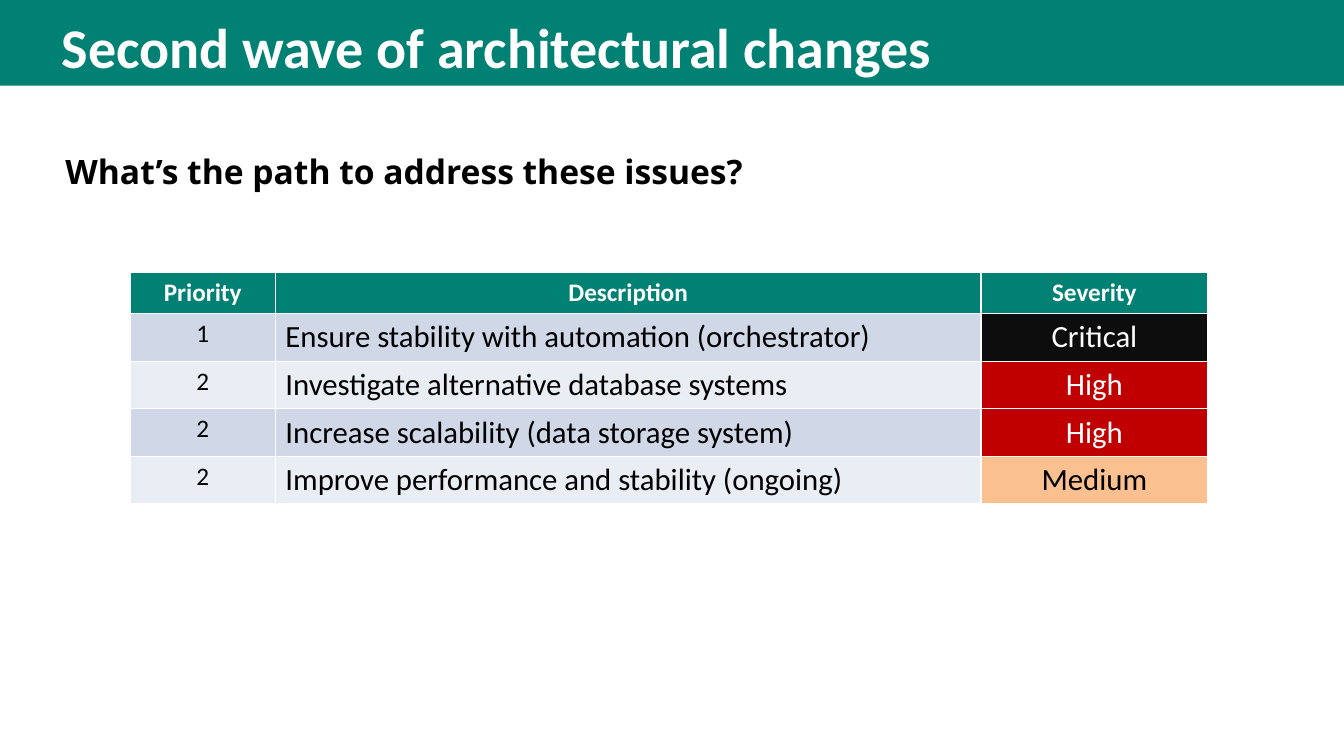
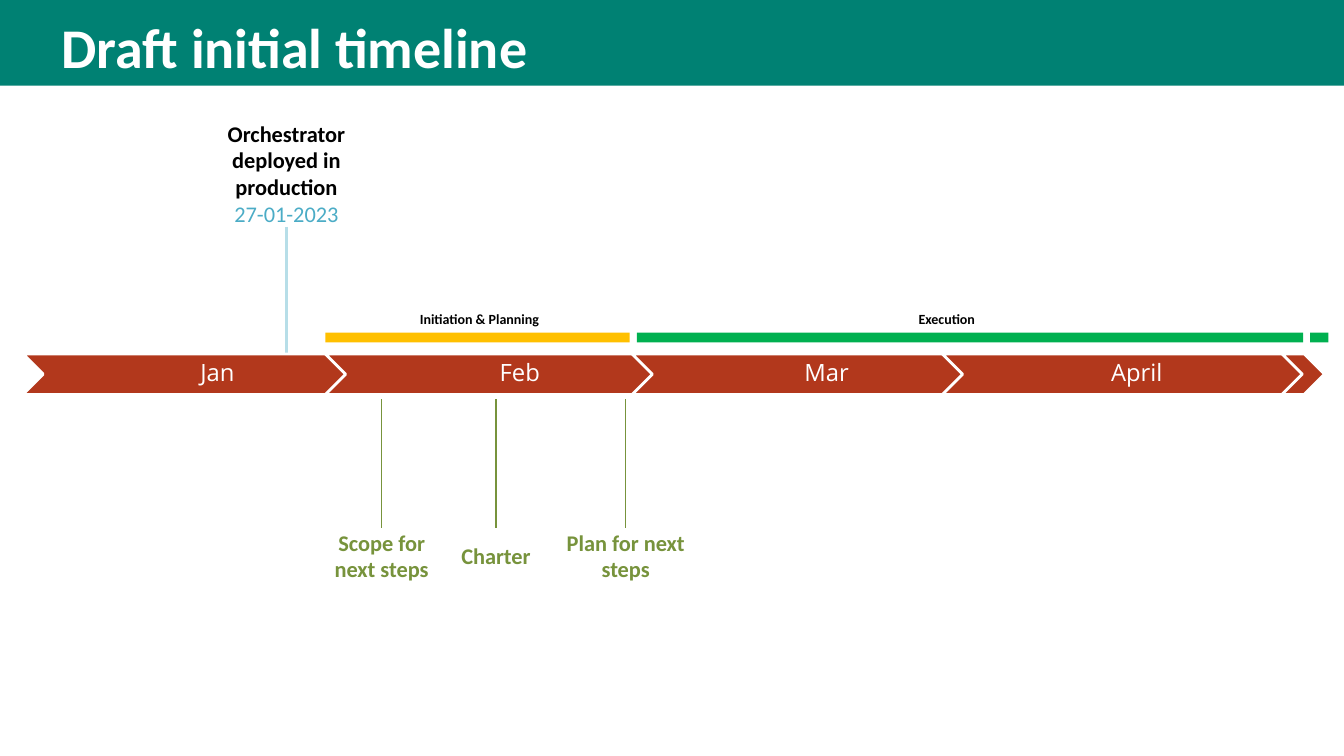
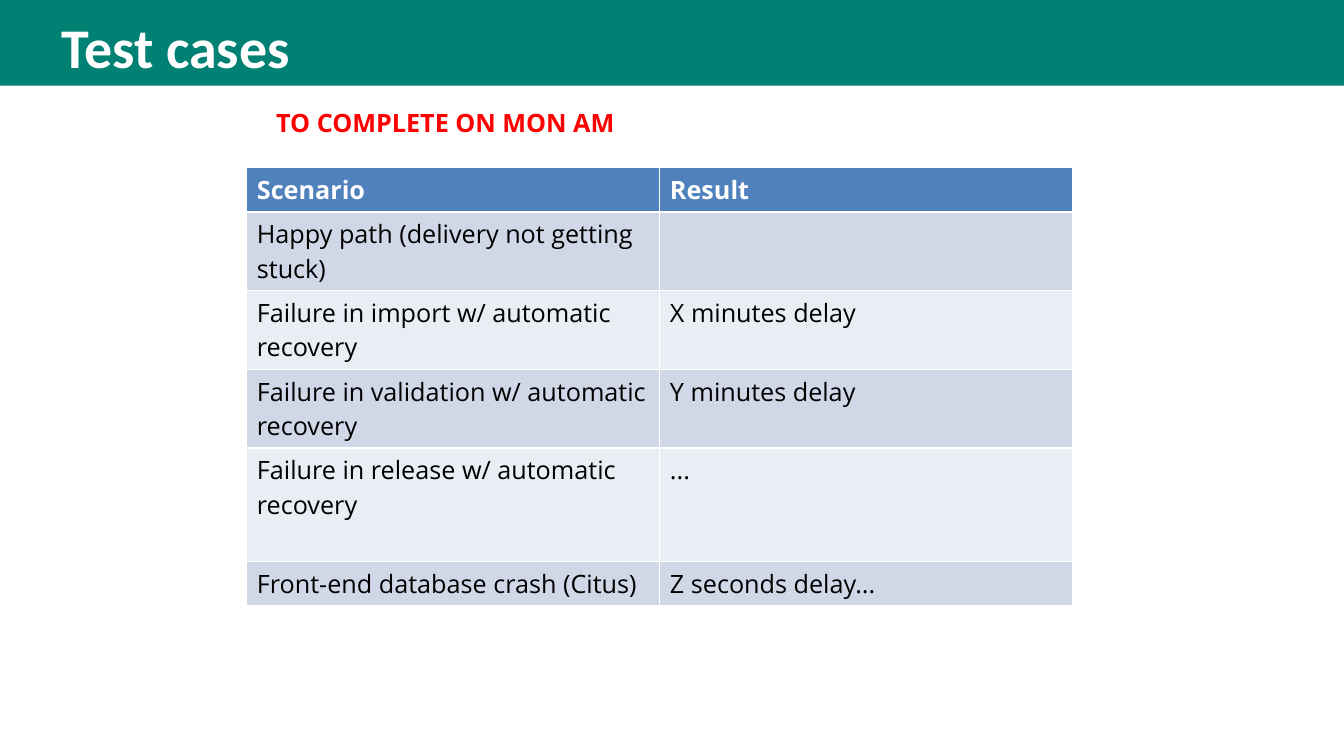
from lxml import etree
from pptx import Presentation
from pptx.dml.color import RGBColor
from pptx.enum.shapes import MSO_CONNECTOR, MSO_SHAPE
from pptx.enum.text import MSO_ANCHOR, PP_ALIGN
from pptx.oxml.ns import qn
from pptx.util import Cm, Pt

RECTANGLE, CHEVRON = MSO_SHAPE.RECTANGLE, MSO_SHAPE.CHEVRON
STRAIGHT = MSO_CONNECTOR.STRAIGHT
TOP, MIDDLE = MSO_ANCHOR.TOP, MSO_ANCHOR.MIDDLE
LEFT, CENTER = PP_ALIGN.LEFT, PP_ALIGN.CENTER

WHITE = RGBColor(0xFF, 0xFF, 0xFF)
BLACK = RGBColor(0x00, 0x00, 0x00)
TEAL = RGBColor(0x00, 0x81, 0x73)
BLUE = RGBColor(0x4F, 0x81, 0xBD)
ROW_DARK = RGBColor(0xD0, 0xD8, 0xE8)
ROW_LIGHT = RGBColor(0xE9, 0xED, 0xF4)
NEAR_BLACK = RGBColor(0x0D, 0x0D, 0x0D)
DARK_RED = RGBColor(0xC0, 0x00, 0x00)
PEACH = RGBColor(0xFA, 0xC0, 0x90)
RED = RGBColor(0xFF, 0x00, 0x00)
OLIVE = RGBColor(0x77, 0x93, 0x3C)
PALE_AQUA = RGBColor(0xB7, 0xDE, 0xE8)
AQUA = RGBColor(0x4B, 0xAC, 0xC6)
RUST = RGBColor(0xB2, 0x38, 0x1C)
AMBER = RGBColor(0xFF, 0xC0, 0x00)
GREEN = RGBColor(0x00, 0xB0, 0x50)

CALIBRI, OPEN_SANS = "Calibri", "Open Sans"
SLIDE_WIDTH, SLIDE_HEIGHT = 33.87, 19.05


def style(size, color=BLACK, bold=False, name=CALIBRI):
    return {"size": Pt(size), "color": color, "bold": bold, "name": name}


class Deck:
    """Holds the shared style and the slide being built; lengths are in cm."""

    TITLE = style(40, WHITE, True)

    def __init__(self):
        self.prs = Presentation()
        self.prs.slide_width = Cm(SLIDE_WIDTH)
        self.prs.slide_height = Cm(SLIDE_HEIGHT)
        self.slide = None

    def new_slide(self, title):
        self.slide = self.prs.slides.add_slide(self.prs.slide_layouts[5])
        heading = self.slide.shapes.title
        band = self.shape(RECTANGLE, 0, 0, SLIDE_WIDTH, 2.16, TEAL)
        heading._element.addprevious(band._element)
        heading.left, heading.top = Cm(1.3), Cm(0.18)
        heading.width, heading.height = Cm(31.24), Cm(1.88)
        heading.text_frame.vertical_anchor = TOP
        self.fill_text(heading.text_frame, [(title, self.TITLE)], LEFT)

    def fill_text(self, frame, lines, align):
        """Fill a frame with one paragraph for each (text, style) pair."""
        for number, (text, look) in enumerate(lines):
            paragraph = frame.add_paragraph() if number else frame.paragraphs[0]
            paragraph.alignment = align
            run = paragraph.add_run()
            run.text = text
            for key, value in look.items():
                if key == "color":
                    run.font.color.rgb = value
                else:
                    setattr(run.font, key, value)

    def shape(self, kind, x, y, width, height, fill, outline=None):
        shape = self.slide.shapes.add_shape(kind, Cm(x), Cm(y), Cm(width), Cm(height))
        shape.shadow.inherit = False
        shape.fill.solid()
        shape.fill.fore_color.rgb = fill
        if outline is None:
            shape.line.fill.background()
        else:
            shape.line.color.rgb = outline
            shape.line.width = Pt(2)
        return shape

    def text(self, x, y, width, height, lines):
        box = self.slide.shapes.add_textbox(Cm(x), Cm(y), Cm(width), Cm(height))
        box.text_frame.word_wrap = True
        self.fill_text(box.text_frame, lines, LEFT)

    def label(self, center, y, width, height, lines):
        """Tight text centred on a horizontal position."""
        box = self.slide.shapes.add_textbox(
            Cm(center - width / 2), Cm(y), Cm(width), Cm(height))
        frame = box.text_frame
        tight = {"word_wrap": True, "vertical_anchor": MIDDLE, "margin_left": 0,
                 "margin_right": 0, "margin_top": 0, "margin_bottom": 0}
        for key, value in tight.items():
            setattr(frame, key, value)
        self.fill_text(frame, lines, CENTER)

    def stem(self, x, top, bottom, color, weight):
        """Vertical line joining a label to the timeline."""
        line = self.slide.shapes.add_connector(
            STRAIGHT, Cm(x), Cm(top), Cm(x), Cm(bottom))
        line.line.color.rgb = color
        line.line.width = Pt(weight)
        etree.SubElement(line._element.spPr, qn("a:effectLst"))

    def table(self, x, y, widths, heights, rows, header_fill, styles, aligns, fills=None):
        """styles: header style, then one per column; fills: cell text to (fill, text)."""
        fills = fills or {}
        grid = self.slide.shapes.add_table(
            len(rows), len(widths), Cm(x), Cm(y), Cm(sum(widths)), Cm(sum(heights))).table
        for column, width in zip(grid.columns, widths):
            column.width = Cm(width)
        for r, (values, height) in enumerate(zip(rows, heights)):
            grid.rows[r].height = Cm(height)
            banding = ROW_DARK if r % 2 else ROW_LIGHT
            for c, value in enumerate(values):
                cell = grid.cell(r, c)
                look, align = styles[c + 1], aligns[c + 1]
                fill, color = fills.get(value, (banding, look["color"]))
                look = {**look, "color": color}
                if r == 0:
                    fill, look, align = header_fill, styles[0], aligns[0]
                cell.fill.solid()
                cell.fill.fore_color.rgb = fill
                self.fill_text(cell.text_frame, [(value, look)], align)


def changes_slide(deck):
    deck.new_slide("Second wave of architectural changes")
    rows = [
        ("Priority", "Description", "Severity"),
        ("1", "Ensure stability with automation (orchestrator)", "Critical"),
        ("2", "Investigate alternative database systems", "High"),
        ("2", "Increase scalability (data storage system)", "High"),
        ("2", "Improve performance and stability (ongoing)", "Medium"),
    ]
    severities = {"Critical": (NEAR_BLACK, WHITE), "High": (DARK_RED, WHITE),
                  "Medium": (PEACH, BLACK)}
    deck.table(3.28, 6.86, [3.66, 17.78, 5.72], [1.04] + [1.2] * 4, rows, TEAL,
               [style(18, WHITE, True), style(18), style(22), style(22)],
               [CENTER, CENTER, LEFT, CENTER], severities)
    deck.text(1.4, 3.68, 19.25, 1.27,
              [("What’s the path to address these issues?", style(24, BLACK, True, OPEN_SANS))])


def timeline_slide(deck):
    deck.new_slide("Draft initial timeline")

    # Deployment callout, whose stem ends behind the months
    deployed = 7.22
    deck.label(deployed, 3, 4.19, 2.74,
               [("Orchestrator deployed in production", style(16, BLACK, True)),
                ("27-01-2023", style(16, AQUA))])
    deck.stem(deployed, 5.72, 9.27, PALE_AQUA, 2)

    # Months, each laid over the end of the one before
    months = [("Jan", 0.58, 9.65), ("Feb", 8.2, 9.65), ("Mar", 15.93, 9.65),
              ("April", 23.75, 9.65), ("", 32.31, 1.07)]
    for month, x, width in months:
        chevron = deck.shape(CHEVRON, x, 8.92, width, 1.02, RUST, WHITE)
        if month:
            frame = chevron.text_frame
            frame.margin_left, frame.margin_right = Cm(0.2), Cm(0.05)
            frame.vertical_anchor = MIDDLE
            deck.fill_text(frame, [(month, style(17, WHITE, name=OPEN_SANS))], CENTER)
            frame.paragraphs[0].line_spacing = 0.9

    # Phases
    for x, width, color in [(8.2, 7.67, AMBER), (16.05, 16.79, GREEN), (33.02, 0.46, GREEN)]:
        deck.shape(RECTANGLE, x, 8.38, width, 0.25, color)
    for phase, center in [("Initiation & Planning", 12.08), ("Execution", 23.86)]:
        deck.label(center, 7.82, 4.3, 0.43, [(phase, style(10, BLACK, True))])

    # Milestones
    milestones = [("Scope for next steps", 9.62), ("Charter", 12.5),
                  ("Plan for next steps", 15.77)]
    for milestone, center in milestones:
        deck.stem(center, 10.06, 13.31, OLIVE, 0.75)
        deck.label(center, 13.31, 3.15, 1.38, [(milestone, style(16, OLIVE, True))])


def tests_slide(deck):
    deck.new_slide("Test cases")
    rows = [
        ("Scenario", "Result"),
        ("Happy path (delivery not getting stuck)", ""),
        ("Failure in import w/ automatic recovery", "X minutes delay"),
        ("Failure in validation w/ automatic recovery", "Y minutes delay"),
        ("Failure in release w/ automatic recovery", "..."),
        ("Front-end database crash (Citus)", "Z seconds delay..."),
    ]
    body = style(18, name=OPEN_SANS)
    deck.table(6.22, 4.22, [10.41, 10.41], [1.12, 1.98, 1.98, 1.98, 2.85, 1.12], rows, BLUE,
               [style(18, WHITE, True, OPEN_SANS), body, body], [LEFT] * 3)
    deck.text(6.71, 2.59, 21.79, 1.02,
              [("TO COMPLETE ON MON AM", style(18, RED, True, OPEN_SANS))])


def main():
    deck = Deck()
    changes_slide(deck)
    timeline_slide(deck)
    tests_slide(deck)
    deck.prs.save("out.pptx")


if __name__ == "__main__":
    main()
